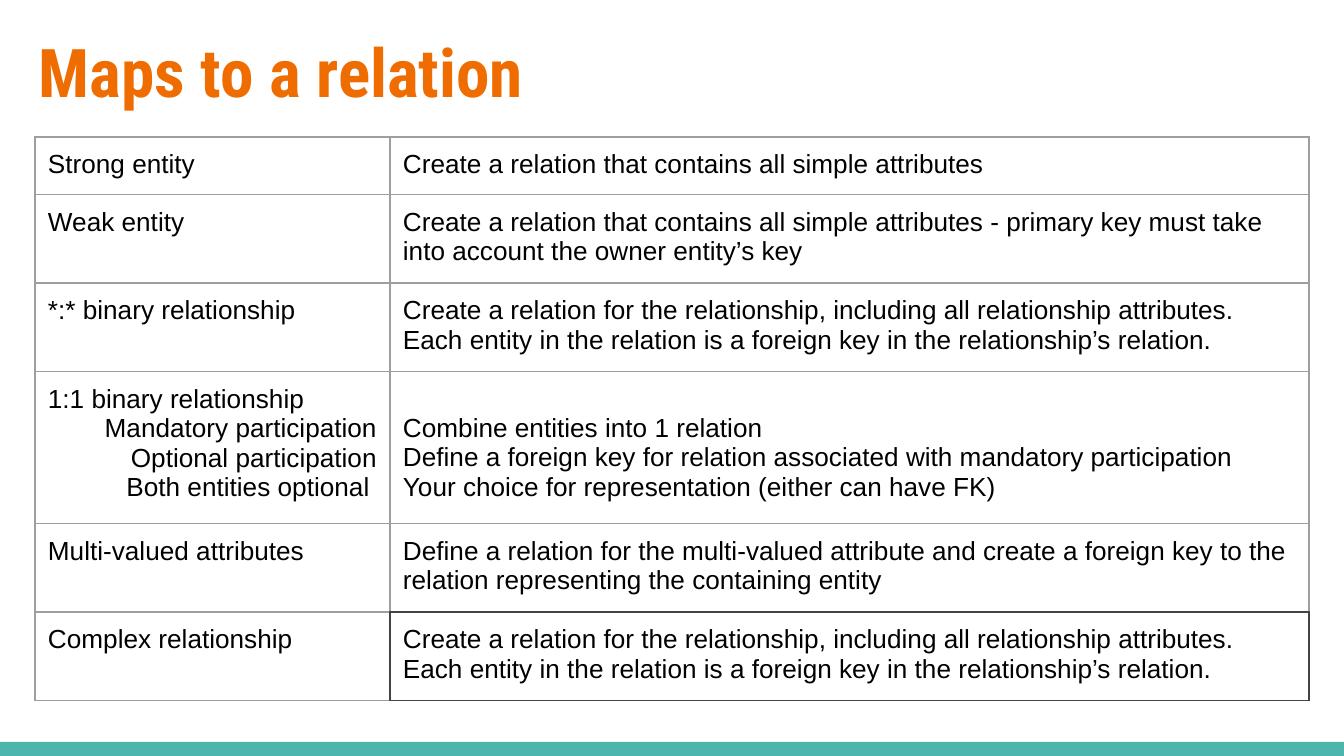
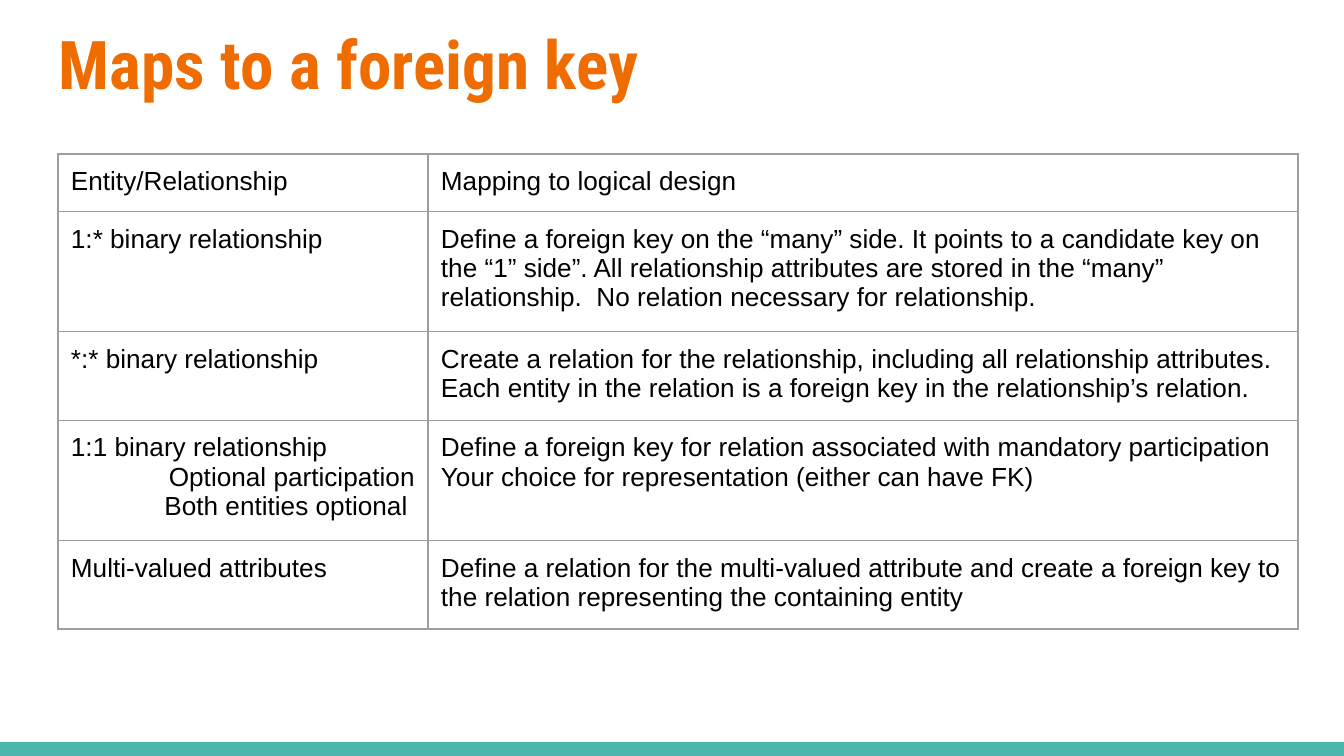
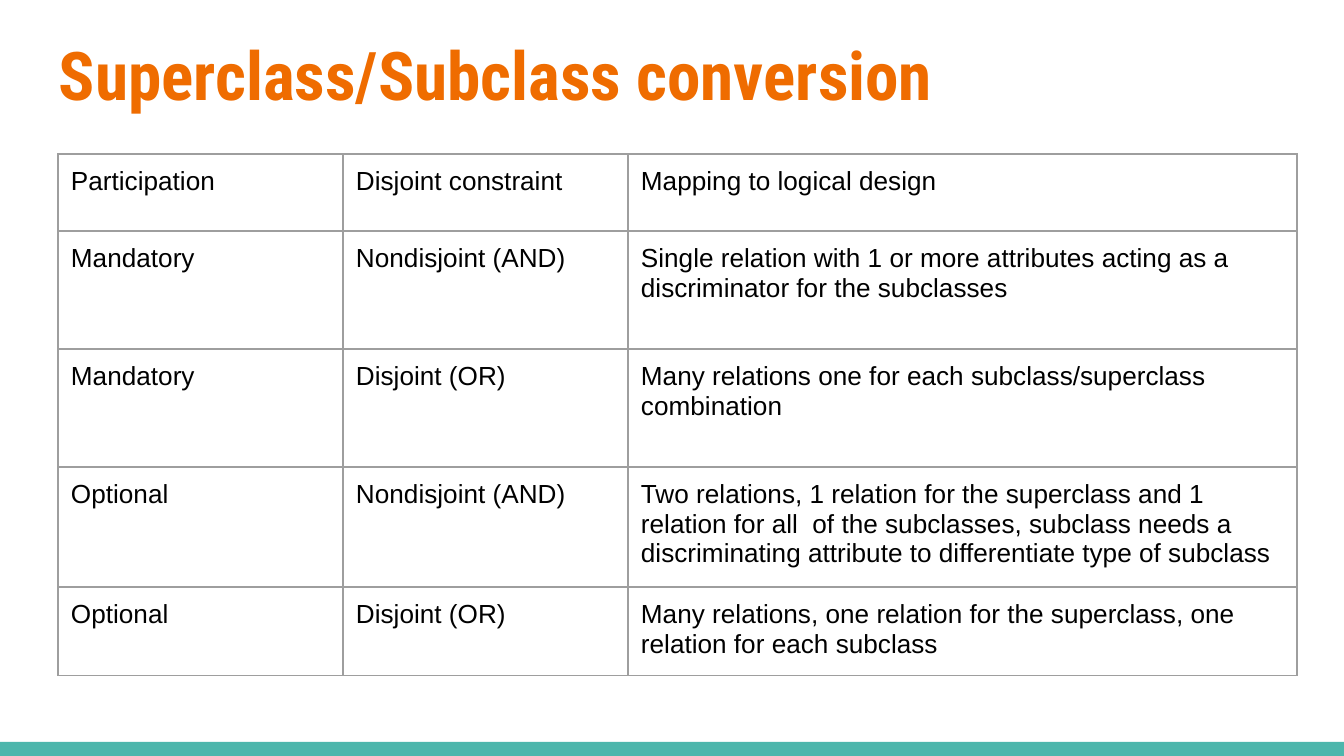
from lxml import etree
from pptx import Presentation
from pptx.dml.color import RGBColor
from pptx.enum.shapes import MSO_SHAPE
from pptx.enum.text import MSO_ANCHOR, PP_ALIGN
from pptx.oxml.ns import qn
from pptx.util import Emu, Pt

SLIDE_W, SLIDE_H = 1344, 756
EMU_PER_PX = 9144000 / SLIDE_W
PADDING = 13
LINE_HEIGHT = 29
BAND_HEIGHT = 14
COLORS = {
    "title": "EF6C00",
    "band": "4DB6AC",
    "text": "000000",
    "border": "9E9E9E",
    "dark_border": "434343",
}
TITLE_FONT, BODY_FONT = "Roboto Condensed", "Arial"

MANY_TO_MANY = (
    "*:* binary relationship",
    "Create a relation for the relationship, including all relationship attributes. "
    "Each entity in the relation is a foreign key in the relationship’s relation.",
)
MULTI_VALUED = (
    "Multi-valued attributes",
    "Define a relation for the multi-valued attribute and create a foreign key to "
    "the relation representing the containing entity",
)
ONE_TO_ONE_CHOICES = (
    "Define a foreign key for relation associated with mandatory participation\n"
    "Your choice for representation (either can have FK)"
)

RELATION_ROWS = [
    ("Strong entity", "Create a relation that contains all simple attributes"),
    ("Weak entity",
     "Create a relation that contains all simple attributes - primary key must take "
     "into account the owner entity’s key"),
    MANY_TO_MANY,
    ("1:1 binary relationship\nMandatory participation\n"
     "Optional participation\nBoth entities optional ",
     "Combine entities into 1 relation\n" + ONE_TO_ONE_CHOICES),
    MULTI_VALUED,
    ("Complex relationship", MANY_TO_MANY[1]),
]
FOREIGN_KEY_ROWS = [
    ("Entity/Relationship", "Mapping to logical design"),
    ("1:* binary relationship",
     "Define a foreign key on the “many” side. It points to a candidate key on "
     "the “1” side”. All relationship attributes are stored in the “many” "
     "relationship.  No relation necessary for relationship."),
    MANY_TO_MANY,
    ("1:1 binary relationship\nOptional participation\nBoth entities optional ",
     ONE_TO_ONE_CHOICES),
    MULTI_VALUED,
]
SUBCLASS_ROWS = [
    ("Participation", "Disjoint constraint", "Mapping to logical design"),
    ("Mandatory", "Nondisjoint (AND)",
     "Single relation with 1 or more attributes acting as a discriminator "
     "for the subclasses"),
    ("Mandatory", "Disjoint (OR)",
     "Many relations one for each subclass/superclass combination"),
    ("Optional", "Nondisjoint (AND)",
     "Two relations, 1 relation for the superclass and 1 relation for all  of the "
     "subclasses, subclass needs a discriminating attribute to differentiate type "
     "of subclass"),
    ("Optional", "Disjoint (OR)",
     "Many relations, one relation for the superclass, one relation for each subclass"),
]


def px(length):
    return Emu(round(length * EMU_PER_PX))


def style_runs(paragraph, font, size, color, bold=False):
    for run in paragraph.runs:
        run.font.name = font
        run.font.size = Pt(size)
        run.font.bold = bold
        run.font.color.rgb = RGBColor.from_string(COLORS[color])


def set_padding(holder):
    """Give a text frame or a table cell equal margins on all sides."""
    holder.margin_left = holder.margin_right = px(PADDING)
    holder.margin_top = holder.margin_bottom = px(PADDING)


def add_title(slide, box, title):
    frame = slide.shapes.add_textbox(*map(px, box)).text_frame
    frame.word_wrap = True
    frame.vertical_anchor = MSO_ANCHOR.TOP
    set_padding(frame)
    frame.text = title
    style_runs(frame.paragraphs[0], TITLE_FONT, 36, "title", bold=True)


def add_band(slide):
    band = slide.shapes.add_shape(
        MSO_SHAPE.RECTANGLE, 0, px(SLIDE_H - BAND_HEIGHT), px(SLIDE_W), px(BAND_HEIGHT))
    band.shadow.inherit = False
    band.fill.solid()
    band.fill.fore_color.rgb = RGBColor.from_string(COLORS["band"])
    band.line.fill.background()


def draw_borders(cell, dark_sides):
    properties = cell._tc.get_or_add_tcPr()
    for side in "LRTB":
        line = etree.SubElement(properties, qn(f"a:ln{side}"), w=str(Pt(0.75)))
        fill = etree.SubElement(line, qn("a:solidFill"))
        color = COLORS["dark_border" if side in dark_sides else "border"]
        etree.SubElement(fill, qn("a:srgbClr"), val=color)


def fill_cell(cell, text, is_label, dark_sides):
    """Write a cell; the lines below a label's first are right-aligned."""
    cell.text_frame.text = text
    cell.vertical_anchor = MSO_ANCHOR.TOP
    set_padding(cell)
    for index, paragraph in enumerate(cell.text_frame.paragraphs):
        style_runs(paragraph, BODY_FONT, 14, "text")
        if is_label and index:
            paragraph.alignment = PP_ALIGN.RIGHT
    draw_borders(cell, dark_sides)
    cell.fill.background()


def add_mapping_table(slide, left, top, widths, heights, rows, dark_edges):
    frame = slide.shapes.add_table(
        len(rows), len(widths), px(left), px(top), px(sum(widths)), px(sum(heights)))
    table = frame.table
    table.first_row = table.horz_banding = False
    for column, width in zip(table.columns, widths):
        column.width = px(width)
    for r, (texts, height) in enumerate(zip(rows, heights)):
        table.rows[r].height = px(height)
        for c, text in enumerate(texts):
            fill_cell(table.cell(r, c), text, c == 0, dark_edges.get((r, c), ""))
    return table


def add_mapping_slide(prs, title, title_box, corner, widths, heights, rows, dark_edges=None):
    slide = prs.slides.add_slide(prs.slide_layouts[6])
    add_band(slide)
    add_title(slide, title_box, title)
    return add_mapping_table(slide, *corner, widths, heights, rows, dark_edges or {})


def main():
    prs = Presentation()
    prs.slide_width, prs.slide_height = px(SLIDE_W), px(SLIDE_H)

    relations = add_mapping_slide(
        prs, "Maps to a relation", (26, 17, 1313, 85), (35, 137),
        (355, 919), [56] * 6, RELATION_ROWS,
        {(4, 1): "B", (5, 0): "R", (5, 1): "LRTB"})
    # The 1:1 answers start level with the second line of their label.
    relations.cell(3, 1).margin_top = px(PADDING + LINE_HEIGHT)

    add_mapping_slide(
        prs, "Maps to a foreign key", (46, 9, 1253, 103), (58, 154),
        (370, 870), [56] * 5, FOREIGN_KEY_ROWS)
    add_mapping_slide(
        prs, "Superclass/Subclass conversion", (46, 20, 1253, 103), (58, 154),
        (285, 285, 669), (77, 118, 118, 77, 77), SUBCLASS_ROWS)
    prs.save("out.pptx")


if __name__ == "__main__":
    main()
